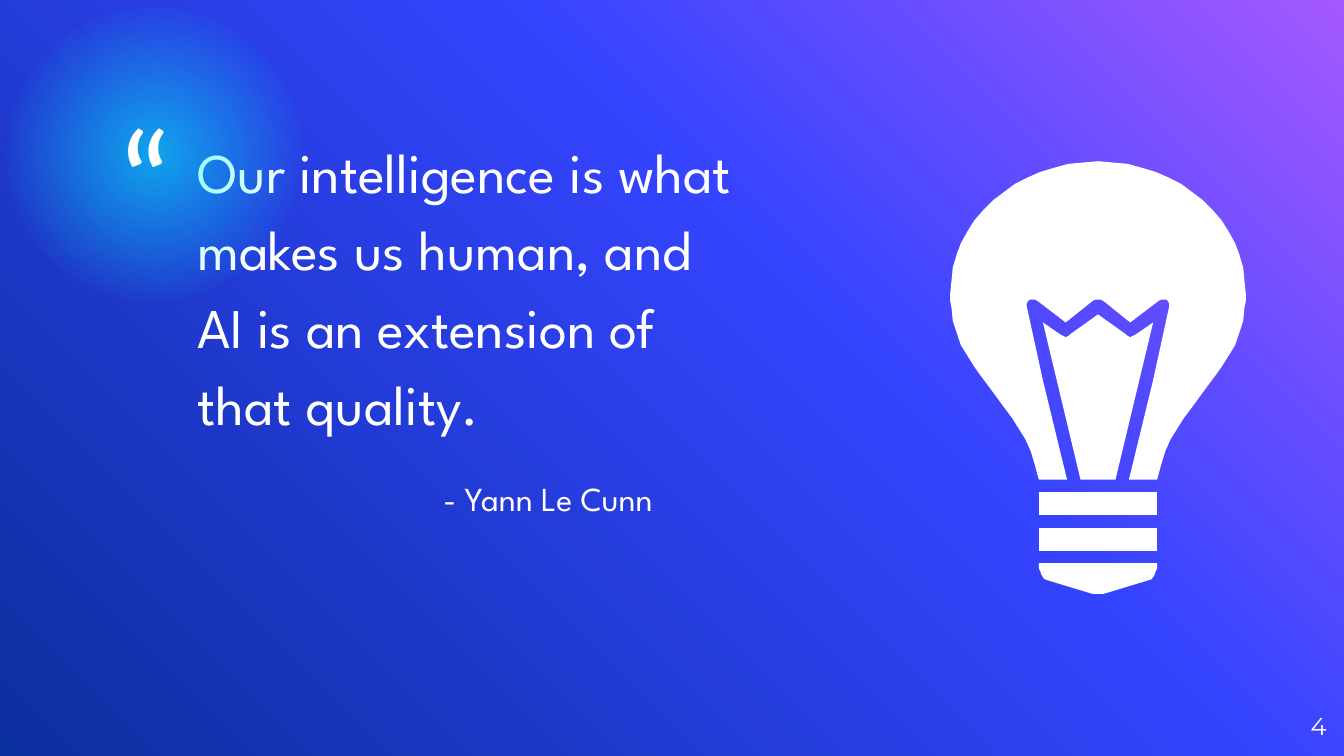
from lxml import etree
from pptx import Presentation
from pptx.dml.color import RGBColor
from pptx.enum.shapes import MSO_SHAPE
from pptx.enum.text import MSO_ANCHOR, MSO_AUTO_SIZE, PP_ALIGN
from pptx.oxml import parse_xml
from pptx.oxml.ns import nsdecls, qn
from pptx.util import Cm, Pt

OVAL = MSO_SHAPE.OVAL
TOP, MIDDLE = MSO_ANCHOR.TOP, MSO_ANCHOR.MIDDLE
LEFT, RIGHT = PP_ALIGN.LEFT, PP_ALIGN.RIGHT
NO_FIT = MSO_AUTO_SIZE.NONE

WHITE = RGBColor(0xFF, 0xFF, 0xFF)
VIOLET = RGBColor(0xA4, 0x58, 0xFF)
BLUE = RGBColor(0x35, 0x44, 0xFF)
NAVY = RGBColor(0x0A, 0x2F, 0x9E)
CYAN = RGBColor(0x00, 0xFF, 0xFF)

LINEAR = '<a:lin ang="8100000" scaled="0"/>'
RADIAL = ('<a:path path="circle">'
          '<a:fillToRect l="50000" t="50000" r="50000" b="50000"/></a:path>')

BULB_AXIS = 817
BULB_UNIT = Cm(2.54) / 100
GLASS = [
    (0, 120), (11, 121), (22, 122), (33, 125), (43, 128), (52, 132),
    (62, 137), (70, 143), (78, 149), (85, 156), (92, 164), (97, 172),
    (102, 181), (105, 189), (108, 199), (109, 209), (110, 219), (110, 224),
    (109, 229), (108, 239), (105, 248), (102, 257), (97, 265), (92, 273),
    (87, 280), (81, 288), (70, 303), (64, 311), (59, 319), (54, 327),
    (50, 336), (47, 346), (44, 357), (23, 357), (41, 283), (53, 228),
    (53, 226), (52, 224), (51, 223), (47, 223), (45, 224), (24, 240),
    (4, 224), (2, 223),
]
FILAMENT = [(0, 234), (21, 249), (22, 250), (24, 251), (26, 250), (28, 249),
            (41, 240), (13, 357)]
TIP = [(44, 419), (44, 423), (43, 425), (42, 428), (40, 431), (37, 432),
       (4, 442), (0, 442)]
BANDS = [[(44, top), (44, top + 17)] for top in (366, 393)]


def add_text(p, text, font="League Spartan", size=30, color=WHITE,
             align=LEFT, spacing=None, before=0, indent=0):
    p.alignment = align
    p.line_spacing = spacing
    p.space_before = Pt(before)
    pPr = p._p.get_or_add_pPr()
    pPr.set("marL", str(indent))
    pPr.set("indent", "0")
    etree.SubElement(pPr, qn("a:buNone"))
    r = p.add_run()
    r.text = text
    r.font.name = font
    r.font.size = Pt(size)
    r.font.color.rgb = color


def set_gradient(fill, element, stops, direction):
    fill.solid()
    solid = element.xpath(".//a:solidFill")[0]
    gs = "".join(
        f'<a:gs pos="{pos * 1000}"><a:srgbClr val="{color}">'
        f'<a:alpha val="{alpha * 1000}"/></a:srgbClr></a:gs>'
        for pos, color, alpha in stops)
    grad = parse_xml(f'<a:gradFill {nsdecls("a")} rotWithShape="1">'
                     f'<a:gsLst>{gs}</a:gsLst>{direction}</a:gradFill>')
    solid.getparent().replace(solid, grad)


class QuoteSlide:
    def __init__(self, prs):
        self.s = prs.slides.add_slide(prs.slide_layouts[1])
        title = self.s.shapes.title
        title._element.getparent().remove(title._element)

    def background(self, stops):
        set_gradient(self.s.background.fill, self.s._element, stops, LINEAR)

    def glow(self, left, top, size, stops):
        sp = self.s.shapes.add_shape(OVAL, left, top, size, size)
        sp.shadow.inherit = False
        sp.line.fill.background()
        set_gradient(sp.fill, sp._element, stops, RADIAL)

    def frame(self, sp, anchor=TOP):
        tf = sp.text_frame
        tf.word_wrap = True
        tf.auto_size = NO_FIT
        tf.vertical_anchor = anchor
        tf.margin_left = tf.margin_right = tf.margin_top = tf.margin_bottom = 0
        return tf

    def label(self, box, text, anchor=TOP, **style):
        tf = self.frame(self.s.shapes.add_textbox(*box), anchor)
        add_text(tf.paragraphs[0], text, **style)

    def quote(self, box, text, author):
        sp = self.s.placeholders[1]
        sp.left, sp.top, sp.width, sp.height = box
        tf = self.frame(sp)
        add_text(tf.paragraphs[0], text, spacing=1.15, before=6)
        add_text(tf.add_paragraph(), author, size=18, spacing=1.15,
                 before=19, indent=Cm(4.65))

    def symmetric_icon(self, halves):
        group = self.s.shapes.add_group_shape()
        for half in halves:
            mirrored = [(-x, y) for x, y in reversed(half) if x]
            points = [(BULB_AXIS + x, y) for x, y in half + mirrored]
            builder = group.shapes.build_freeform(*points[0], scale=BULB_UNIT)
            builder.add_line_segments(points[1:], close=True)
            sp = builder.convert_to_shape()
            sp.shadow.inherit = False
            sp.fill.solid()
            sp.fill.fore_color.rgb = WHITE
            sp.line.fill.background()


def main():
    prs = Presentation()
    prs.slide_width, prs.slide_height = Cm(25.4), Cm(14.29)
    slide = QuoteSlide(prs)
    slide.background([(0, VIOLET, 100), (39, BLUE, 100), (100, NAVY, 100)])
    slide.glow(Cm(0.13), Cm(0.13), Cm(5.56),
               [(0, CYAN, 54), (73, CYAN, 0), (100, CYAN, 0)])
    slide.label((Cm(2.29), Cm(1.83), Cm(1.7), Cm(1.8)), "“",
                font="Lato", size=72)
    slide.quote((Cm(3.73), Cm(2.41), Cm(10.41), Cm(10.26)),
                "Our intelligence is what makes us human, and "
                "AI is an extension of that quality.",
                "- Yann Le Cunn")
    slide.label((Cm(23.55), Cm(13.18), Cm(1.52), Cm(1.09)), "4",
                anchor=MIDDLE, font="Montserrat", size=13, align=RIGHT)
    slide.symmetric_icon([*BANDS, TIP, FILAMENT, GLASS])
    prs.save("out.pptx")


if __name__ == "__main__":
    main()
